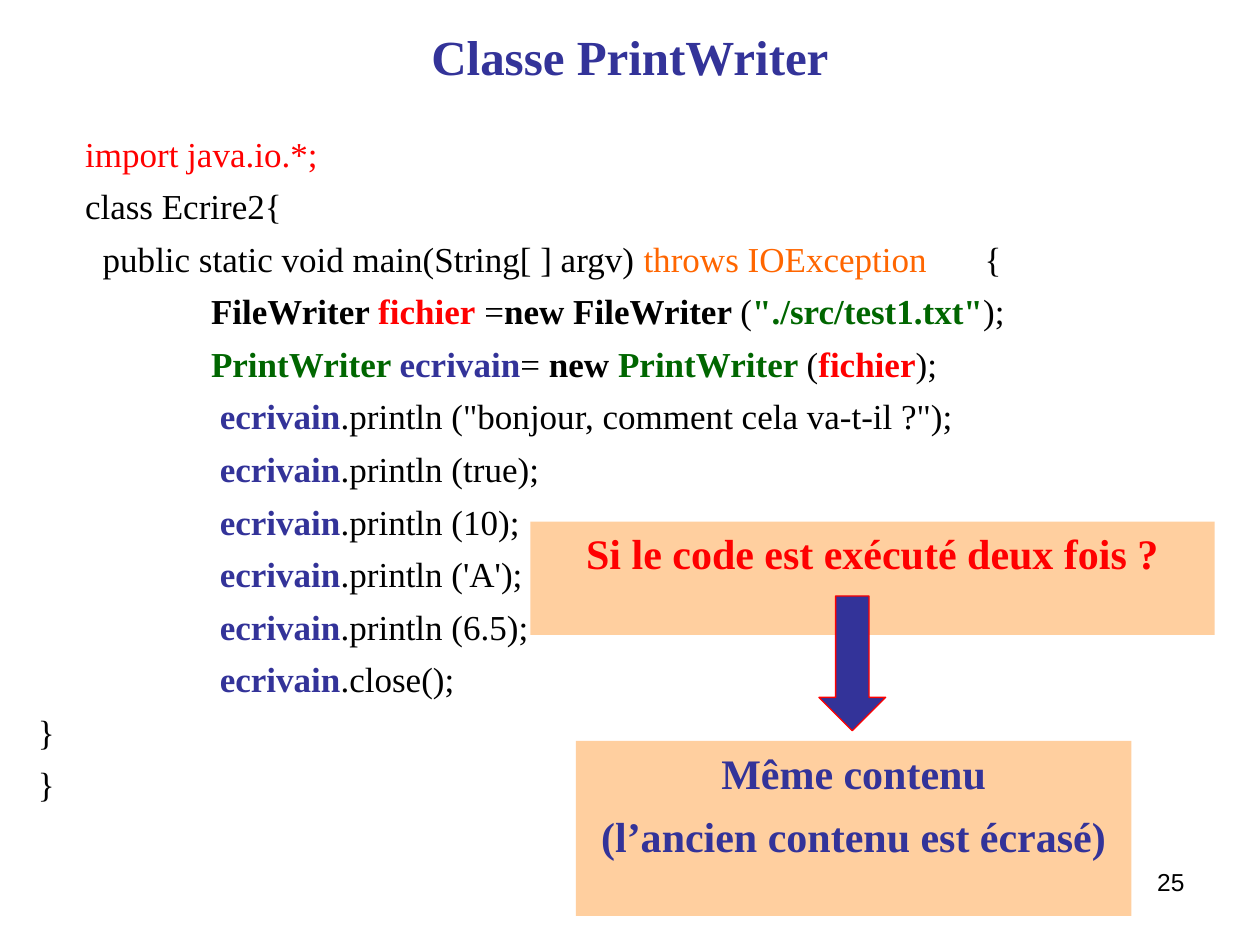
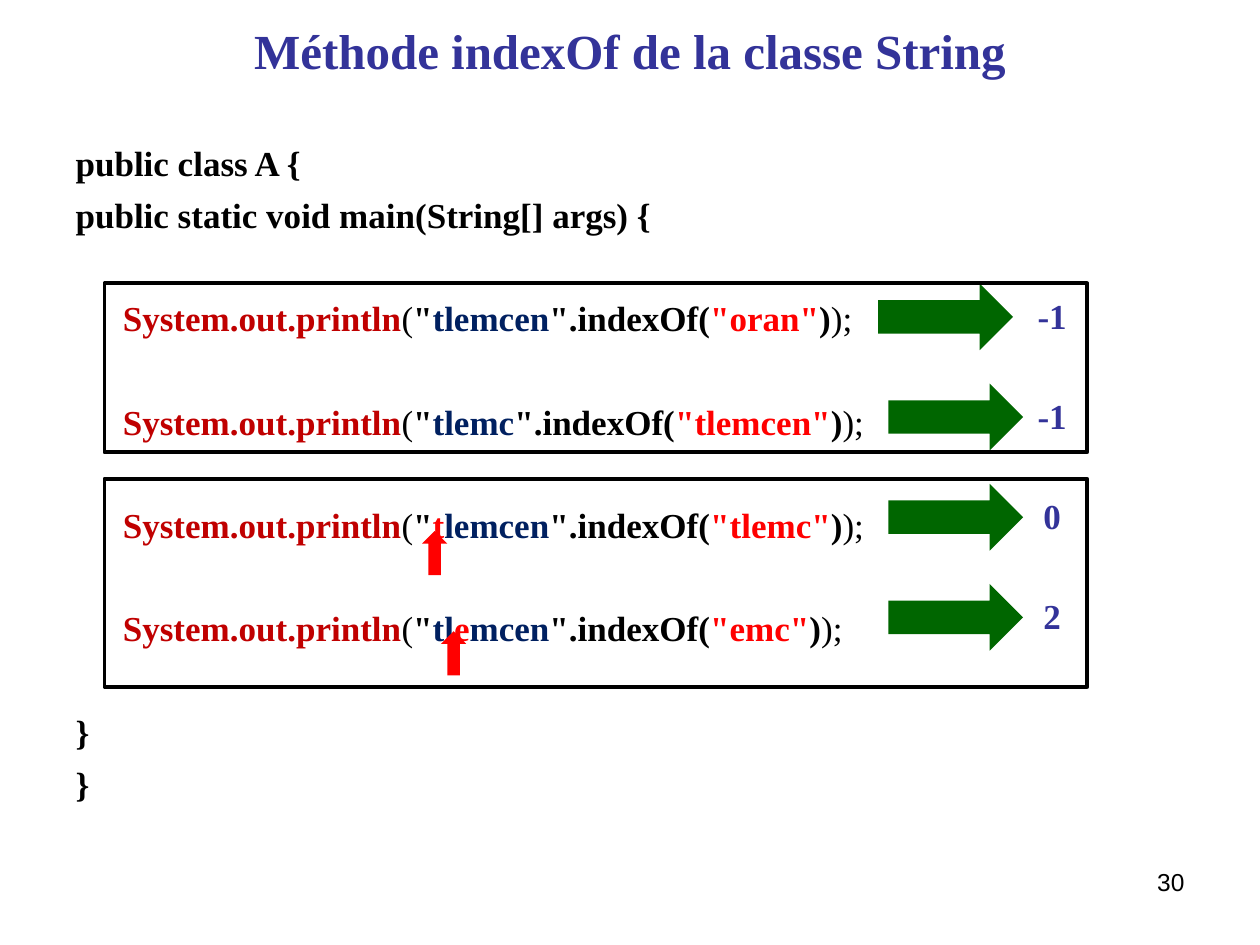
from dataclasses import dataclass

from lxml.etree import SubElement
from pptx import Presentation
from pptx.dml.color import RGBColor
from pptx.enum.shapes import MSO_SHAPE as Shape
from pptx.enum.text import MSO_ANCHOR as Anchor, MSO_AUTO_SIZE as AutoSize, PP_ALIGN as Align
from pptx.oxml.ns import qn
from pptx.util import Inches, Pt

CELL = Inches(0.1)  # the slide is a grid of 100 columns by 75 rows


@dataclass(frozen=True)
class Theme:
    serif: str = "Times New Roman"
    sans: str = "Arial"
    black: str = "000000"
    blue: str = "333399"
    navy: str = "002060"
    red: str = "FF0000"
    brick: str = "C00000"
    orange: str = "FF6600"
    green: str = "006600"
    peach: str = "FFCF9F"
    title: int = 28
    callout: int = 24
    code: int = 20
    number: int = 14
    gap: float = 0.3  # space before a paragraph, as a share of its type size
    pitch: float = 1.45  # line plus gap, as a share of the type size


THEME = Theme()


@dataclass(frozen=True)
class Box:
    left: float
    top: float
    width: float
    height: float

    def inner(self, left, top, width, height):
        """A box in cells, measured from this box's corner."""
        return Box(self.left + left, self.top + top, width, height)

    def emu(self):
        return [round(side * CELL) for side in (self.left, self.top, self.width, self.height)]


PAGE = Box(0, 0, 100, 75)


@dataclass(frozen=True)
class Line:
    spans: list  # (text, colour, bold)
    indent: float = 0  # in cells
    blank: bool = False  # leaves one empty line above
    tab: float = 0  # tab stop, in cells from the indent


# Shared parts
def style(span, size, colour, bold=False, font=THEME.serif):
    span.font.name = font
    span.font.size = Pt(size)
    span.font.bold = bold
    span.font.color.rgb = RGBColor.from_string(colour)


def place(shape, box):
    shape.left, shape.top, shape.width, shape.height = box.emu()


def write(shape, text, size, colour, bold=True, font=THEME.serif, align=Align.CENTER, anchor=Anchor.TOP):
    frame = shape.text_frame
    frame.text = text
    frame.word_wrap = True
    frame.auto_size = AutoSize.NONE
    frame.vertical_anchor = anchor
    for para in frame.paragraphs:
        para.alignment = align
        para.space_before = Pt(size * THEME.gap)
        for span in para.runs:
            style(span, size, colour, bold, font)


def add_label(page, box, text, size, colour, **options):
    label = page.shapes.add_textbox(*box.emu())
    write(label, text, size, colour, **options)


def add_figure(page, kind, box, fill=None, line=None, weight=0.75):
    figure = page.shapes.add_shape(kind, *box.emu())
    figure.shadow.inherit = False
    if fill:
        figure.fill.solid()
        figure.fill.fore_color.rgb = RGBColor.from_string(fill)
    else:
        figure.fill.background()
    if line:
        figure.line.color.rgb = RGBColor.from_string(line)
        figure.line.width = Pt(weight)
    else:
        figure.line.fill.background()
    return figure


def add_code(body, box, lines):
    place(body, box)
    frame = body.text_frame
    frame.auto_size = AutoSize.NONE
    for index, line in enumerate(lines):
        para = frame.paragraphs[0] if index == 0 else frame.add_paragraph()
        space = THEME.gap + (THEME.pitch if line.blank else 0)
        para.space_before = Pt(THEME.code * space)
        props = para._p.get_or_add_pPr()
        props.set("marL", str(round(line.indent * CELL)))
        props.set("indent", "0")
        SubElement(props, qn("a:buNone"))
        if line.tab:
            stops = SubElement(props, qn("a:tabLst"))
            SubElement(stops, qn("a:tab"), pos=str(round(line.tab * CELL)), algn="l")
        for text, colour, bold in line.spans:
            span = para.add_run()
            span.text = text
            style(span, THEME.code, colour, bold)


def add_page(deck, title, title_height, number, code_box, lines):
    page = deck.slides.add_slide(deck.slide_layouts[1])
    place(page.shapes.title, PAGE.inner(5, 1.3, 90, title_height))
    write(page.shapes.title, title, THEME.title, THEME.blue, anchor=Anchor.MIDDLE)
    add_code(page.placeholders[1], code_box, lines)
    add_label(page, PAGE.inner(71.7, 68.3, 23.3, 5.2), str(number), THEME.number, THEME.black,
              bold=False, font=THEME.sans, align=Align.RIGHT)
    return page


# Slide about PrintWriter
def writer_lines():
    t = THEME
    calls = ['println ("bonjour, comment cela va-t-il ?");', "println (true);", "println (10);",
             "println ('A');", "println (6.5);", "close();"]
    return [
        Line([("import java.io.*;", t.red, False)], 3.75),
        Line([("class Ecrire2{", t.black, False)], 3.75),
        Line([("public static void main(String[ ] argv) ", t.black, False),
              ("throws IOException\t", t.orange, False), ("{", t.black, False)], 5.15, tab=70),
        Line([("FileWriter ", t.black, True), ("fichier", t.red, True), (" =", t.black, False),
              ("new FileWriter ", t.black, True), ("(", t.black, False),
              ('"./src/test1.txt"', t.green, True), (");", t.black, False)], 13.75),
        Line([("PrintWriter ", t.green, True), ("ecrivain", t.blue, True), ("= ", t.black, False),
              ("new ", t.black, True), ("PrintWriter ", t.green, True), ("(", t.black, False),
              ("fichier", t.red, True), (");", t.black, False)], 13.75),
        *[Line([("ecrivain", t.blue, True), ("." + call, t.black, False)], 14.45) for call in calls],
        *[Line([("}", t.black, False)])] * 2,
    ]


def add_question(page, box):
    """Question, arrow and answer, one below the other."""
    question = add_figure(page, Shape.RECTANGLE, box.inner(0, 0, 54.3, 9), THEME.peach)
    write(question, "Si le code est exécuté deux fois ?", THEME.callout, THEME.red)
    add_figure(page, Shape.DOWN_ARROW, box.inner(22.9, 5.9, 5.3, 10.7), THEME.blue, THEME.red)
    answer = add_figure(page, Shape.RECTANGLE, box.inner(3.6, 17.4, 44.1, 13.9), THEME.peach)
    write(answer, "Même contenu\n(l’ancien contenu est écrasé)", THEME.callout, THEME.blue)


def build_writer(deck):
    page = add_page(deck, "Classe PrintWriter", 6.3, 25, PAGE.inner(2, 10, 94.5, 61.4), writer_lines())
    add_question(page, PAGE.inner(42.1, 41.4, 54.3, 31.3))


# Slide about indexOf
@dataclass(frozen=True)
class Search:
    word: str
    sought: str
    result: int
    arrow: float = 62.2  # column of the result arrow
    marker: float = 0  # column of the match marker


SEARCHES = [
    Search("tlemcen", "oran", -1, arrow=61.4),
    Search("tlemc", "tlemcen", -1),
    Search("tlemcen", "tlemc", 0, marker=25.2),
    Search("tlemcen", "emc", 2, marker=26.7),
]


def search_line(search):
    t = THEME
    word, hit = search.word, search.result
    if hit < 0:
        pieces = [(word, t.navy)]
    else:
        pieces = [(word[:hit], t.navy), (word[hit], t.red), (word[hit + 1:], t.navy)]
    return Line([
        ("System.out.println", t.brick, True), ("(", t.black, False), ('"', t.black, True),
        *[(text, colour, True) for text, colour in pieces if text],
        ('".indexOf(', t.black, True), (f'"{search.sought}"', t.red, True),
        (")", t.black, True), (");", t.black, False)], 3.75, blank=True)


def index_lines():
    def plain(text, blank=False):
        return Line([(text, THEME.black, True)], blank=blank)

    return [plain("public class A {"), plain("public static void main(String[] args) {"),
            *map(search_line, SEARCHES), plain("}", blank=True), plain("}")]


def add_results(page, box):
    """Arrow, result and match marker of each search, and the two frames."""
    row_height = 7.95
    for index, search in enumerate(SEARCHES):
        row = box.inner(0, index * row_height, box.width, row_height)
        add_figure(page, Shape.RIGHT_ARROW, row.inner(search.arrow, 0, 10.7, 5.3), THEME.green)
        add_label(page, row.inner(70.1, 0.35, 10.2, 4.4), str(search.result), THEME.code, THEME.blue)
        if search.marker:
            add_figure(page, Shape.UP_ARROW, row.inner(search.marker, 3.75, 2, 3.5), THEME.red)
    for top, height in ((0, 13.4), (15.5, 16.5)):
        add_figure(page, Shape.RECTANGLE, box.inner(0, top, box.width, height),
                   line=THEME.black, weight=2.25)


def build_index(deck):
    page = add_page(deck, "Méthode indexOf de la classe String", 5.4, 30,
                    PAGE.inner(5, 10.7, 90, 56.3), index_lines())
    add_results(page, PAGE.inner(8.3, 22.5, 78, 32))


def main():
    deck = Presentation()
    deck.slide_width, deck.slide_height = PAGE.width * CELL, PAGE.height * CELL
    build_writer(deck)
    build_index(deck)
    deck.save("out.pptx")


if __name__ == "__main__":
    main()
